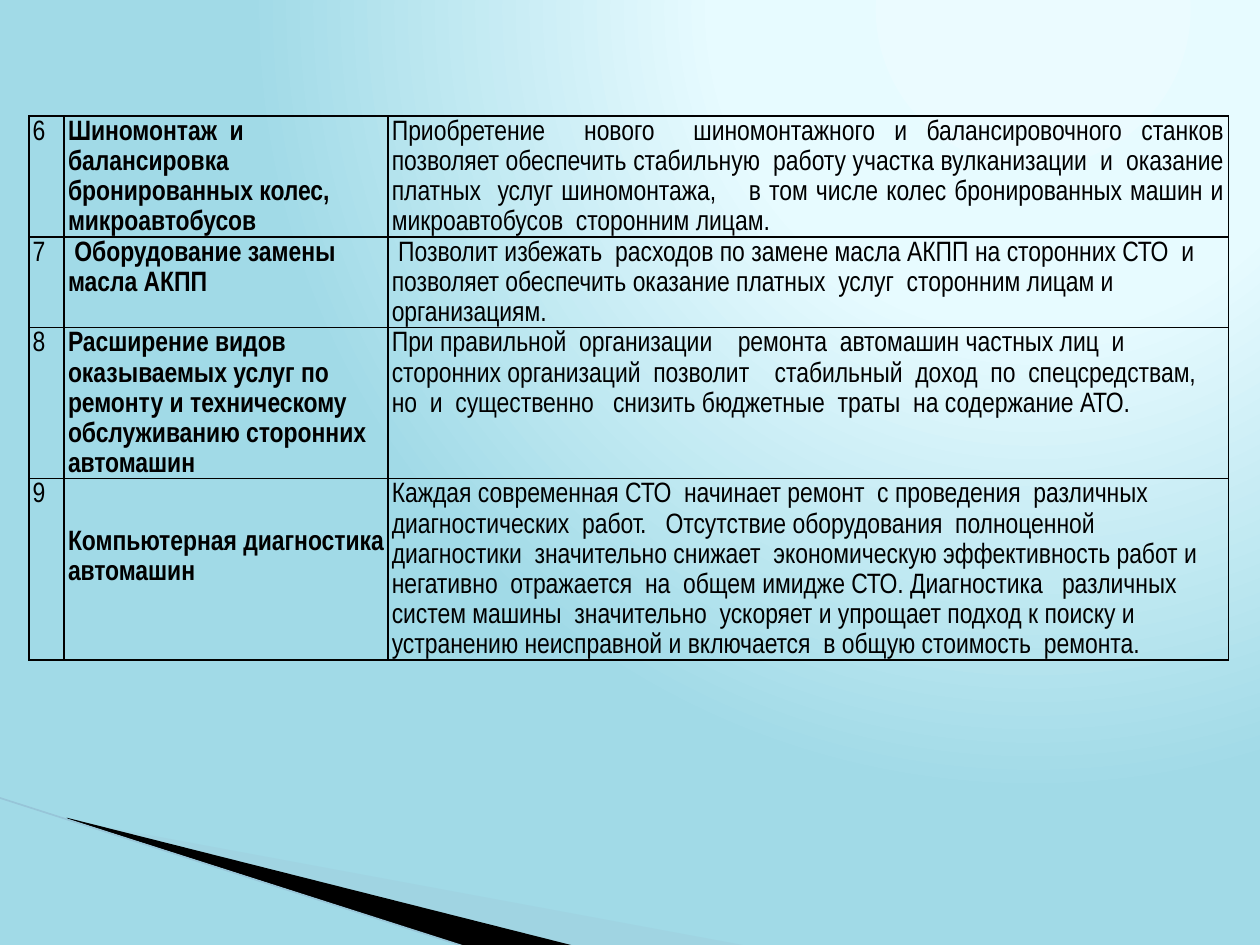
from pptx import Presentation
from pptx.dml.color import RGBColor
from pptx.enum.text import PP_ALIGN
from pptx.enum.shapes import MSO_CONNECTOR as CONN
from pptx.oxml import parse_xml
from pptx.oxml.ns import nsdecls, qn
from pptx.util import Inches, Pt
from lxml.etree import SubElement

BLACK = RGBColor(0x00, 0x00, 0x00)
PALE = RGBColor(0xA0, 0xCB, 0xDC)
EDGE = RGBColor(0x97, 0xC5, 0xD8)
STOPS = ((0, "EBFBFF"), (40, "E7FBFF"), (100, "A1DAE7"))

COLS = (0.28, 2.57, 6.67)
ROW_HEIGHTS = (0.8, 0.48, 0.96, 1.27)
MARGINS = {"margin_left": Inches(0.03), "margin_right": Inches(0.03),
           "margin_top": 0, "margin_bottom": 0}
PARAGRAPH = {"line_spacing": 1.15, "space_after": Pt(10)}
FONT = {"name": "Arial Narrow", "size": Pt(16)}
ROWS = (
    ("6", "Шиномонтаж  и балансировка бронированных колес, микроавтобусов",
     "Приобретение  нового  шиномонтажного и балансировочного станков "
     "позволяет обеспечить стабильную  работу участка вулканизации  и  оказание "
     "платных  услуг шиномонтажа,    в том числе колес бронированных машин и "
     "микроавтобусов  сторонним лицам."),
    ("7", " Оборудование замены масла АКПП",
     " Позволит избежать  расходов по замене масла АКПП на сторонних СТО  и  "
     "позволяет обеспечить оказание платных  услуг  сторонним лицам и организациям."),
    ("8", "Расширение видов оказываемых услуг по  ремонту и техническому "
     "обслуживанию сторонних автомашин",
     "При правильной  организации    ремонта  автомашин частных лиц  и  "
     "сторонних организаций  позволит    стабильный  доход  по  спецсредствам,  "
     "но  и  существенно   снизить бюджетные  траты  на содержание АТО."),
    ("9", "Компьютерная диагностика автомашин",
     "Каждая современная СТО  начинает ремонт  с проведения  различных  "
     "диагностических  работ.   Отсутствие оборудования  полноценной "
     "диагностики  значительно снижает  экономическую эффективность работ и    "
     "негативно  отражается  на  общем имидже СТО. Диагностика   различных "
     "систем машины  значительно  ускоряет и упрощает подход к поиску и "
     "устранению неисправной и включается  в общую стоимость  ремонта."),
)


def set_format(obj, values):
    for name, value in values.items():
        setattr(obj, name, value)


def add_background(s):
    stops = "".join(f'<a:gs pos="{pos * 1000}"><a:srgbClr val="{color}"/></a:gs>'
                    for pos, color in STOPS)
    s.element.cSld.insert(0, parse_xml(
        f'<p:bg {nsdecls("p", "a")}><p:bgPr><a:gradFill rotWithShape="1">'
        f'<a:gsLst>{stops}</a:gsLst><a:path path="circle">'
        '<a:fillToRect l="65000" t="0" r="0" b="98000"/></a:path></a:gradFill>'
        '<a:effectLst/></p:bgPr></p:bg>'))


def add_wedge(s, points, color, alpha=None):
    pts = [(Inches(x), Inches(y)) for x, y in points]
    builder = s.shapes.build_freeform(*pts[0])
    builder.add_line_segments(pts[1:], close=True)
    sp = builder.convert_to_shape()
    sp.shadow.inherit = False
    sp.fill.solid()
    sp.fill.fore_color.rgb = color
    sp.line.fill.background()
    if alpha:
        clr = sp.element.spPr.find(qn("a:solidFill"))[0]
        SubElement(clr, qn("a:alpha"), val=str(alpha * 1000))


def add_corner(s, x, y):
    add_wedge(s, ((x, y + 0.02), (x + 5.4, y + 1.02), (x + 4.01, y + 1.02),
                  (x, y + 0.01)), PALE, 40)
    add_wedge(s, ((x - 0.02, y), (x + 4.02, y + 1.02), (x + 3.17, y + 1.03),
                  (x - 0.01, y + 0.01)), BLACK)
    edge = s.shapes.add_connector(CONN.STRAIGHT, Inches(x - 0.56), Inches(y - 0.16),
                                  Inches(x + 3.16), Inches(y + 1.03))
    edge.line.color.rgb = EDGE
    edge.line.width = Pt(0.95)
    SubElement(edge.element.spPr, qn("a:effectLst"))


def add_borders(cell):
    tc_pr = cell._tc.get_or_add_tcPr()
    for i, side in enumerate(("lnL", "lnR", "lnT", "lnB")):
        tc_pr.insert(i, parse_xml(
            f'<a:{side} {nsdecls("a")} w="12700"><a:solidFill>'
            f'<a:srgbClr val="{BLACK}"/></a:solidFill></a:{side}>'))


def fill_cell(cell, text, bold):
    set_format(cell, MARGINS)
    cell.fill.background()
    add_borders(cell)
    p = cell.text_frame.paragraphs[0]
    set_format(p, PARAGRAPH)
    r = p.add_run()
    r.text = text
    set_format(r.font, FONT)
    r.font.bold = bold
    r.font.color.rgb = BLACK


def add_services(s, x, y):
    table = s.shapes.add_table(len(ROWS), len(COLS), Inches(x), Inches(y),
                               Inches(sum(COLS)), Inches(sum(ROW_HEIGHTS))).table
    table.first_row = table.horz_banding = False
    for col, width in zip(table.columns, COLS):
        col.width = Inches(width)
    for row, height, texts in zip(table.rows, ROW_HEIGHTS, ROWS):
        row.height = Inches(height)
        for i, text in enumerate(texts):
            fill_cell(row.cells[i], text, i == 1)
    table.cell(0, 2).text_frame.paragraphs[0].alignment = PP_ALIGN.JUSTIFY
    table.cell(3, 1).margin_top = Inches(0.38)


def main():
    prs = Presentation()
    prs.slide_width, prs.slide_height = Inches(10), Inches(7.5)
    s = prs.slides.add_slide(prs.slide_layouts[6])
    add_background(s)
    add_corner(s, 0.55, 6.49)
    add_services(s, 0.23, 0.92)
    prs.save("out.pptx")


if __name__ == "__main__":
    main()
